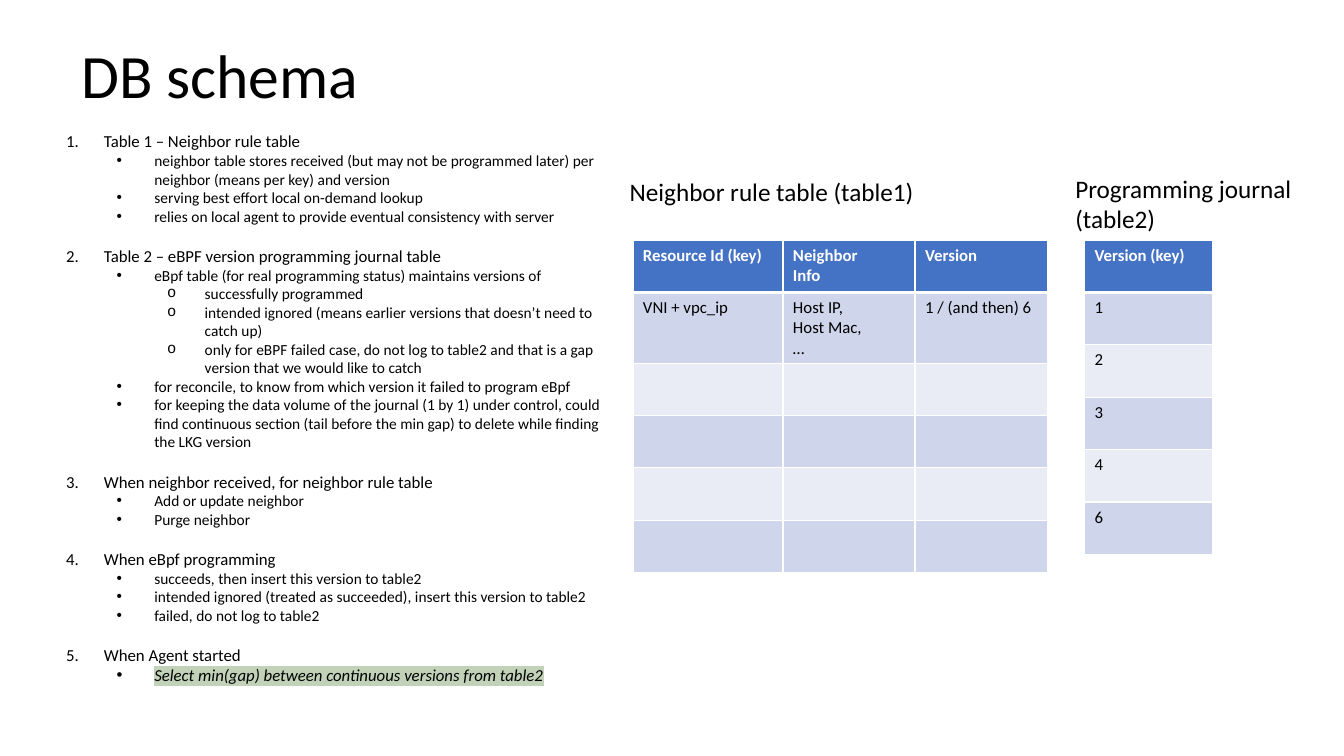
from lxml.etree import SubElement
from pptx import Presentation
from pptx.dml.color import RGBColor
from pptx.enum.text import MSO_ANCHOR, MSO_AUTO_SIZE
from pptx.oxml import parse_xml
from pptx.oxml.ns import nsdecls, qn
from pptx.util import Cm, Pt

BLACK = RGBColor(0x00, 0x00, 0x00)
WHITE = RGBColor(0xFF, 0xFF, 0xFF)
HEADER_BLUE = RGBColor(0x44, 0x72, 0xC4)
BAND_DARK = RGBColor(0xCF, 0xD5, 0xEA)
BAND_LIGHT = RGBColor(0xE9, 0xEB, 0xF5)
HIGHLIGHT_GREEN = RGBColor(0xC1, 0xD2, 0xB8)

HANGING = Cm(0.95)
LEVEL_STEP = Cm(1.27)
SECTION_GAP = Pt(14.6)
ROW_HEIGHT = Cm(1.32)
TABLE_TOP = Cm(6.05)
BULLETS = {1: ("Arial", "•"), 2: ("Courier New", "o")}

HEADING = {"size": Pt(12)}
DETAIL = {"size": Pt(11)}
QUERY = {"size": Pt(12), "italic": True}
HEADER_CELL = {"size": Pt(12), "bold": True}
BODY_CELL = {"size": Pt(12), "bold": False}
GROWING = {"auto_size": MSO_AUTO_SIZE.SHAPE_TO_FIT_TEXT}

SECTIONS = [
    ("Table 1 – Neighbor rule table", [
        (1, "neighbor table stores received (but may not be programmed later) per "
            "neighbor (means per key) and version"),
        (1, "serving best effort local on-demand lookup"),
        (1, "relies on local agent to provide eventual consistency with server"),
    ]),
    ("Table 2 – eBPF version programming journal table", [
        (1, "eBpf table (for real programming status) maintains versions of"),
        (2, "successfully programmed"),
        (2, "intended ignored (means earlier versions that doesn’t need to catch up)"),
        (2, "only for eBPF failed case, do not log to table2 and that is a gap "
            "version that we would like to catch"),
        (1, "for reconcile, to know from which version it failed to program eBpf"),
        (1, "for keeping the data volume of the journal (1 by 1) under control, could "
            "find continuous section (tail before the min gap) to delete while "
            "finding the LKG version"),
    ]),
    ("When neighbor received, for neighbor rule table", [
        (1, "Add or update neighbor"),
        (1, "Purge neighbor"),
    ]),
    ("When eBpf programming", [
        (1, "succeeds, then insert this version to table2"),
        (1, "intended ignored (treated as succeeded), insert this version to table2"),
        (1, "failed, do not log to table2"),
    ]),
    ("When Agent started", []),
]
GAP_QUERY = "Select min(gap) between continuous versions from table2"

NEIGHBOR_ROWS = [
    ["Resource Id (key)", "Neighbor\nInfo", "Version"],
    ["VNI + vpc_ip", "Host IP,\nHost Mac,\n…", "1 / (and then) 6"],
] + [[""] * 3] * 4
JOURNAL_ROWS = [["Version (key)"]] + [[version] for version in "12346"]


def apply_format(target, values):
    """Set each named attribute of the target."""
    for name, value in values.items():
        setattr(target, name, value)


def add_run(paragraph, text, values, color=BLACK):
    """Add a formatted run to a paragraph."""
    run = paragraph.add_run()
    run.text = text
    apply_format(run.font, {"name": "Calibri", **values})
    run.font.color.rgb = color
    return run


def write_lines(frame, text, values, color=BLACK):
    """Write each line of the text as one paragraph."""
    for index, line in enumerate(text.split("\n")):
        paragraph = frame.add_paragraph() if index else frame.paragraphs[0]
        add_run(paragraph, line, values, color)


def add_frame(slide, box, values):
    """Add a text box and return its text frame."""
    frame = slide.shapes.add_textbox(*map(Cm, box)).text_frame
    apply_format(frame, values)
    return frame


def indent(paragraph, level):
    """Give a list paragraph its level and hanging indent."""
    paragraph.level = level
    properties = paragraph._p.get_or_add_pPr()
    properties.set("marL", str(HANGING + level * LEVEL_STEP))
    properties.set("indent", str(-HANGING))
    return properties


def add_heading(paragraph, number, text):
    """Write a numbered section heading."""
    if number > 1:
        paragraph.space_before = SECTION_GAP
    SubElement(indent(paragraph, 0), qn("a:buAutoNum"),
               type="arabicPeriod", startAt=str(number))
    add_run(paragraph, text, HEADING)


def add_bullet(paragraph, level, text, values=DETAIL):
    """Write a bulleted detail and return its run."""
    typeface, mark = BULLETS[level]
    properties = indent(paragraph, level)
    SubElement(properties, qn("a:buFont"), typeface=typeface)
    SubElement(properties, qn("a:buChar"), char=mark)
    return add_run(paragraph, text, values)


def highlight(run, color):
    """Put a marker colour behind a run."""
    fill = run._r.get_or_add_rPr().find(qn("a:solidFill"))
    fill.addnext(parse_xml(
        f'<a:highlight {nsdecls("a")}><a:srgbClr val="{color}"/></a:highlight>'))


def add_outline(slide):
    """Add the numbered outline of both tables and their events."""
    frame = add_frame(slide, (1.42, 3.18, 14.02, 14.33), {"word_wrap": True, **GROWING})
    for number, (heading, details) in enumerate(SECTIONS, 1):
        paragraph = frame.paragraphs[0] if number == 1 else frame.add_paragraph()
        add_heading(paragraph, number, heading)
        for level, detail in details:
            add_bullet(frame.add_paragraph(), level, detail)
    highlight(add_bullet(frame.add_paragraph(), 1, GAP_QUERY, QUERY), HIGHLIGHT_GREEN)


def set_borders(cell, row):
    """Draw white borders, thicker between header and body."""
    widths = {"L": 1, "R": 1, "T": 3 if row == 1 else 1, "B": 3 if row == 0 else 1}
    properties = cell._tc.get_or_add_tcPr()
    for position, (side, width) in enumerate(widths.items()):
        properties.insert(position, parse_xml(
            f'<a:ln{side} {nsdecls("a")} w="{Pt(width)}"><a:solidFill>'
            f'<a:srgbClr val="{WHITE}"/></a:solidFill></a:ln{side}>'))


def add_schema_table(slide, left, widths, rows):
    """Add a banded table with a blue header row."""
    table = slide.shapes.add_table(
        len(rows), len(widths), Cm(left), TABLE_TOP,
        Cm(sum(widths)), ROW_HEIGHT * len(rows)).table
    for column, width in zip(table.columns, widths):
        column.width = Cm(width)
    for row, texts in enumerate(rows):
        table.rows[row].height = ROW_HEIGHT
        for column, text in enumerate(texts):
            cell = table.cell(row, column)
            cell.fill.solid()
            cell.fill.fore_color.rgb = (
                HEADER_BLUE if row == 0 else BAND_DARK if row % 2 else BAND_LIGHT)
            set_borders(cell, row)
            if text:
                write_lines(cell.text_frame, text,
                            BODY_CELL if row else HEADER_CELL, BLACK if row else WHITE)
    return table


def add_caption(slide, box, text):
    """Add the caption above a table."""
    frame = add_frame(slide, box, {"word_wrap": False, **GROWING})
    write_lines(frame, text, {"size": Pt(18)})


def main():
    """Build the DB schema slide."""
    deck = Presentation()
    apply_format(deck, {"slide_width": Cm(33.87), "slide_height": Cm(19.05)})
    slide = deck.slides.add_slide(deck.slide_layouts[6])

    title = add_frame(slide, (1.8, 0.15, 29.21, 3.68),
                      {"word_wrap": True, "vertical_anchor": MSO_ANCHOR.MIDDLE})
    write_lines(title, "DB schema", {"size": Pt(44)})
    title.paragraphs[0].line_spacing = 0.9

    neighbors = add_schema_table(slide, 15.95, (3.78, 3.33, 3.33), NEIGHBOR_ROWS)
    neighbors.rows[1].height = Cm(1.78)
    add_schema_table(slide, 27.33, (3.23,), JOURNAL_ROWS)
    add_caption(slide, (15.62, 4.32, 7.77, 1.02), "Neighbor rule table (table1)")
    add_caption(slide, (26.85, 4.24, 6.02, 1.8), "Programming journal\n(table2)")
    add_outline(slide)
    deck.save("out.pptx")


if __name__ == "__main__":
    main()
